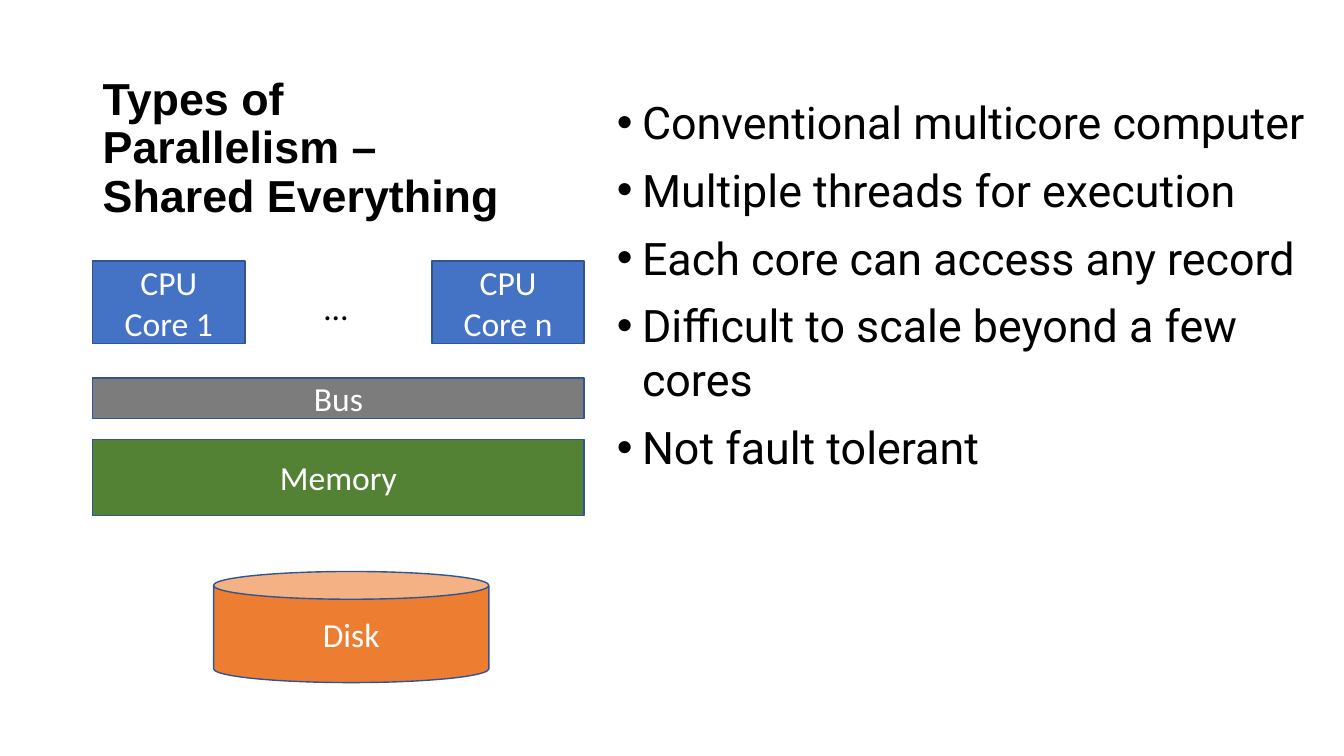
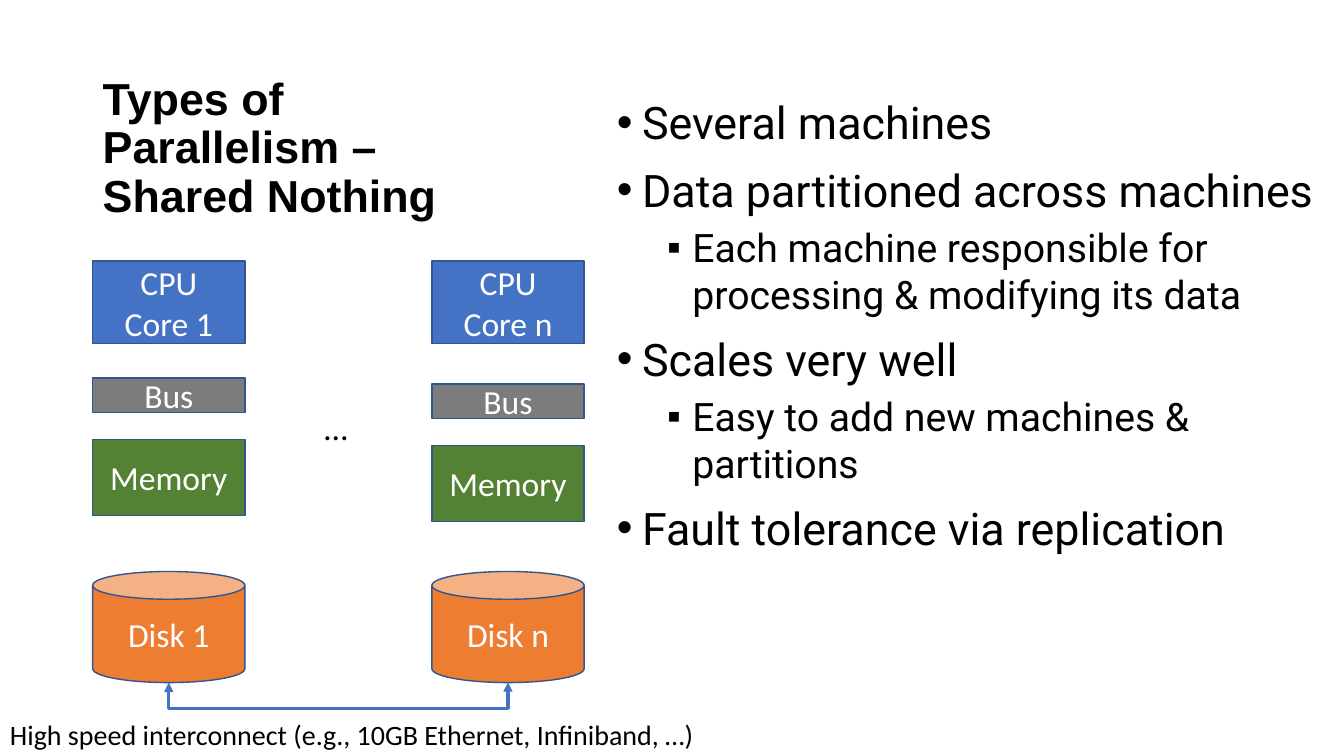
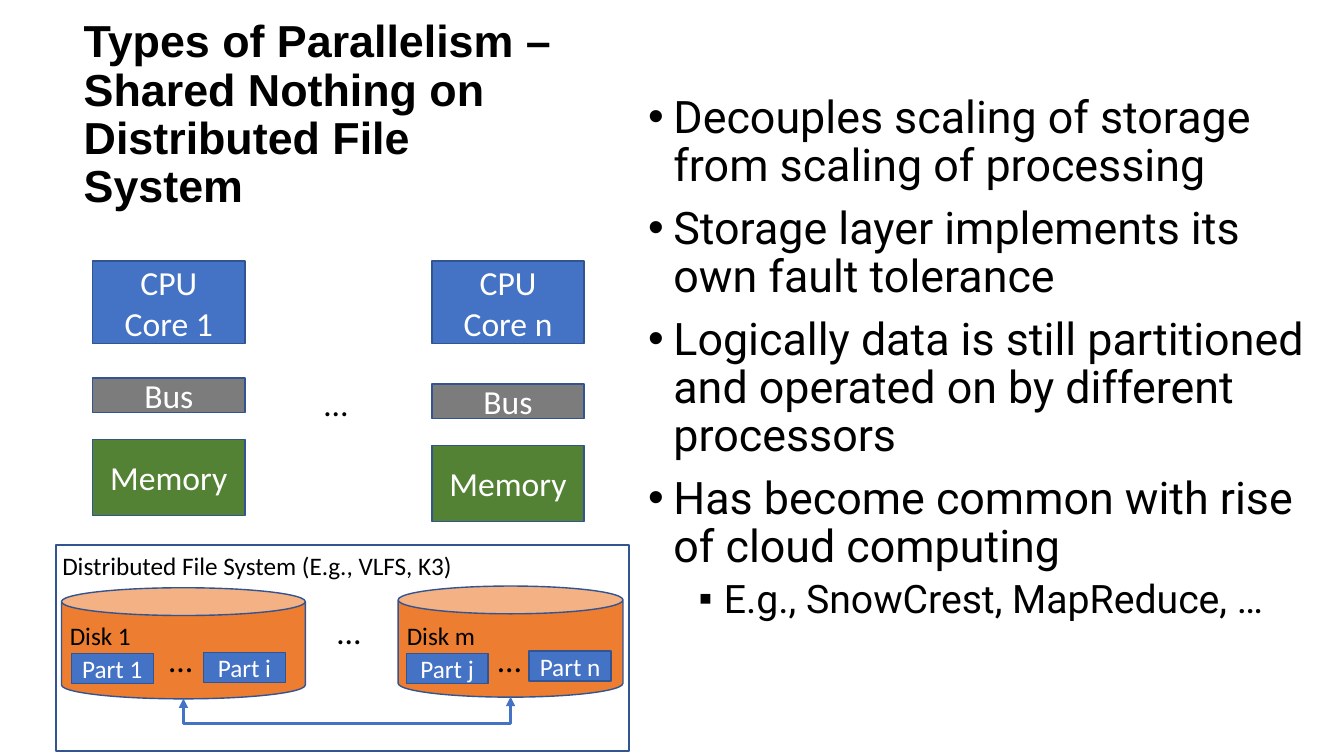
"""Build three slides on types of parallelism."""
from dataclasses import dataclass

from pptx import Presentation
from pptx.dml.color import RGBColor as Color
from pptx.enum.shapes import MSO_CONNECTOR as Link, MSO_SHAPE as Kind
from pptx.enum.text import MSO_ANCHOR as Anchor, MSO_AUTO_SIZE as Fit, PP_ALIGN as Align
from pptx.oxml.ns import qn
from pptx.oxml.xmlchemy import OxmlElement as Node
from pptx.util import Pt


@dataclass(frozen=True)
class Theme:
    ink: str = "000000"
    white: str = "FFFFFF"
    blue: str = "4472C4"
    gray: str = "7C7C7C"
    green: str = "548235"
    orange: str = "ED7D31"
    edge: str = "325491"
    head: str = "Arial"
    body: str = "Roboto"
    label: str = "Calibri"
    big: int = 32
    sub: int = 28
    mid: int = 24
    note: int = 20
    small: int = 18


T = Theme()
DOTS = "…"
LEFT, RIGHT, WIDE = 66.2, 308.5, 108.8
CORE, BUS, MEM, DISK = 186.5, 270, 313.9, 408.2
CORE_H, BUS_H, MEM_H, DISK_H = 59, 24.6, 54.2, 79.4


def place(shape, box):
    shape.left, shape.top, shape.width, shape.height = map(Pt, box)


def write(par, text, size, font, color, bold=False):
    run = par.add_run()
    run.text = text
    run.font.size = Pt(size)
    run.font.name = font
    run.font.bold = bold
    run.font.color.rgb = Color.from_string(color)


def add_par(frame, first):
    return frame.paragraphs[0] if first else frame.add_paragraph()


def title(slide, text, box):
    shape = slide.shapes.title
    place(shape, box)
    frame = shape.text_frame
    frame.auto_size = Fit.NONE
    frame.vertical_anchor = Anchor.BOTTOM
    par = frame.paragraphs[0]
    par.alignment = Align.LEFT
    par.line_spacing = 0.9
    write(par, text, T.big, T.head, T.ink, True)


def bullet(par, level):
    props = par._p.get_or_add_pPr()
    props.set("marL", str(Pt(18 + 36 * level)))
    props.set("indent", str(Pt(-18)))
    font, mark = Node("a:buFont"), Node("a:buChar")
    font.set("typeface", "Arial")
    mark.set("char", "•▪"[level])
    props.extend([font, mark])


def points(slide, items, box, space=1.0):
    shape = slide.placeholders[1]
    place(shape, box)
    frame = shape.text_frame
    frame.auto_size = Fit.NONE
    for i, (level, text) in enumerate(items):
        par = add_par(frame, i == 0)
        par.level = level
        par.line_spacing = space
        par.space_before = Pt((10, 5)[level])
        bullet(par, level)
        write(par, text, (T.big, T.sub)[level], T.body, T.ink)


def block(slide, box, fill, lines=(), kind=Kind.RECTANGLE, size=T.mid, width=1):
    shape = slide.shapes.add_shape(kind, *map(Pt, box))
    shape.shadow.inherit = False
    if fill:
        shape.fill.solid()
        shape.fill.fore_color.rgb = Color.from_string(fill)
    else:
        shape.fill.background()
    shape.line.color.rgb = Color.from_string(T.edge)
    shape.line.width = Pt(width)
    frame = shape.text_frame
    frame.vertical_anchor = Anchor.MIDDLE
    for i, text in enumerate(lines):
        par = add_par(frame, i == 0)
        par.alignment = Align.CENTER
        write(par, text, size, T.label, T.white)


def can(slide, box, lines=()):
    block(slide, box, T.orange, lines, Kind.CAN)


def label(slide, text, box, size=T.mid, wrap=True):
    frame = slide.shapes.add_textbox(*map(Pt, box)).text_frame
    frame.word_wrap = wrap
    par = frame.paragraphs[0]
    par.alignment = Align.LEFT if wrap else Align.CENTER
    write(par, text, size, T.label, T.ink)


def dots(slide, x, y):
    label(slide, DOTS, (x, y, 83.5, 36))


def link(slide, start, end, low, rise):
    """Join two can bottoms by a bent arrow that dips below them."""
    span = end - start
    x, y = (start + end - rise) / 2, low - (rise + span) / 2
    line = slide.shapes.add_connector(Link.ELBOW, Pt(x), Pt(y), Pt(x + rise), Pt(y + span))
    line.line.color.rgb = Color.from_string(T.blue)
    line.line.width = Pt(2.25)
    props = line._element.spPr
    frame = props.find(qn("a:xfrm"))
    for key, value in (("rot", 90 * 60000), ("flipH", 1), ("flipV", 1)):
        frame.set(key, str(value))
    bend = Node("a:gd")
    bend.set("name", "adj1")
    bend.set("fmla", f"val {round(-18 / rise * 100000)}")
    props.find(qn("a:prstGeom")).get_or_add_avLst().append(bend)
    for tag in ("a:headEnd", "a:tailEnd"):
        tip = Node(tag)
        tip.set("type", "triangle")
        line.line._get_or_add_ln().append(tip)
    props.append(Node("a:effectLst"))


def cores(slide):
    for x, name in ((LEFT, "1"), (RIGHT, "n")):
        block(slide, (x, CORE, WIDE, CORE_H), T.blue, ("CPU", f"Core {name}"))


def nodes(slide):
    cores(slide)
    for x, drop in ((LEFT, 0), (RIGHT, 4.4)):
        block(slide, (x, BUS + drop, WIDE, BUS_H), T.gray, ("Bus",))
        block(slide, (x, MEM + drop, WIDE, MEM_H), T.green, ("Memory",))


def shared_all(slide):
    title(slide, "Types of Parallelism – Shared Everything", (66.2, 36, 309.6, 126))
    points(slide, (
        (0, "Conventional multicore computer"),
        (0, "Multiple threads for execution"),
        (0, "Each core can access any record"),
        (0, "Difficult to scale beyond a few cores"),
        (0, "Not fault tolerant"),
    ), (433.4, 64, 516.2, 383.8))
    cores(slide)
    dots(slide, 224.6, 201.6)
    full = RIGHT + WIDE - LEFT
    block(slide, (LEFT, BUS, full, 28.8), T.gray, ("Bus",))
    block(slide, (LEFT, MEM, full, MEM_H), T.green, ("Memory",))
    can(slide, (152.6, DISK, 196.6, DISK_H), ("Disk",))


def shared_none(slide):
    title(slide, "Types of Parallelism – Shared Nothing", (66.2, 36, 309.6, 126))
    points(slide, (
        (0, "Several machines"),
        (0, "Data partitioned across machines"),
        (1, "Each machine responsible for processing & modifying its data"),
        (0, "Scales very well"),
        (1, "Easy to add new machines & partitions"),
        (0, "Fault tolerance via replication"),
    ), (433.4, 64, 516.2, 383.8))
    nodes(slide)
    dots(slide, 224.6, 287.3)
    for x, name in ((LEFT, "1"), (RIGHT, "n")):
        can(slide, (x, DISK, WIDE, DISK_H), (f"Disk {name}",))
    link(slide, LEFT + WIDE / 2, RIGHT + WIDE / 2, DISK + DISK_H, 0.25)
    label(slide, "High speed interconnect (e.g., 10GB Ethernet, Infiniband, …)",
          (0, 509, 516.2, 31.5), T.note)


def shared_files(slide):
    title(slide, "Types of Parallelism – Shared Nothing on Distributed File System",
          (52.6, 29.5, 368.6, 126))
    points(slide, (
        (0, "Decouples scaling of storage from scaling of processing"),
        (0, "Storage layer implements its own fault tolerance"),
        (0, "Logically data is still partitioned and operated on by different processors"),
        (0, "Has become common with rise of cloud computing"),
        (1, "E.g., SnowCrest, MapReduce, …"),
    ), (455.8, 64, 493.9, 383.8), 0.9)
    nodes(slide)
    dots(slide, 224.6, 270)
    can(slide, (43.9, 419.8, 174.2, DISK_H))
    can(slide, (284.4, 418.6, 160.6, DISK_H))
    link(slide, 131, 364.7, 499, 1.2)
    block(slide, (40.3, 389.5, 409, 146.9), None, width=1.5)
    label(slide, "Distributed File System (E.g., VLFS, K3)", (37.4, 389.5, 324.7, 29), T.small)
    label(slide, "Disk 1", (42.5, 439.2, 58.3, 29), T.small, False)
    label(slide, "Disk m", (283, 439.2, 64, 29), T.small, False)
    dots(slide, 234, 432.7)
    for x, y, name in ((51, 466.6, "1"), (145.4, 466, "i"), (290.2, 466.6, "j"), (378, 465, "n")):
        block(slide, (x, y, 58.5, 21.6), T.blue, (f"Part {name}",), size=T.small)
    for x in (113.8, 348.5):
        dots(slide, x, 452.5)


def main():
    deck = Presentation()
    deck.slide_width, deck.slide_height = Pt(960), Pt(540)
    for build in (shared_all, shared_none, shared_files):
        build(deck.slides.add_slide(deck.slide_layouts[1]))
    deck.save("out.pptx")


main()
